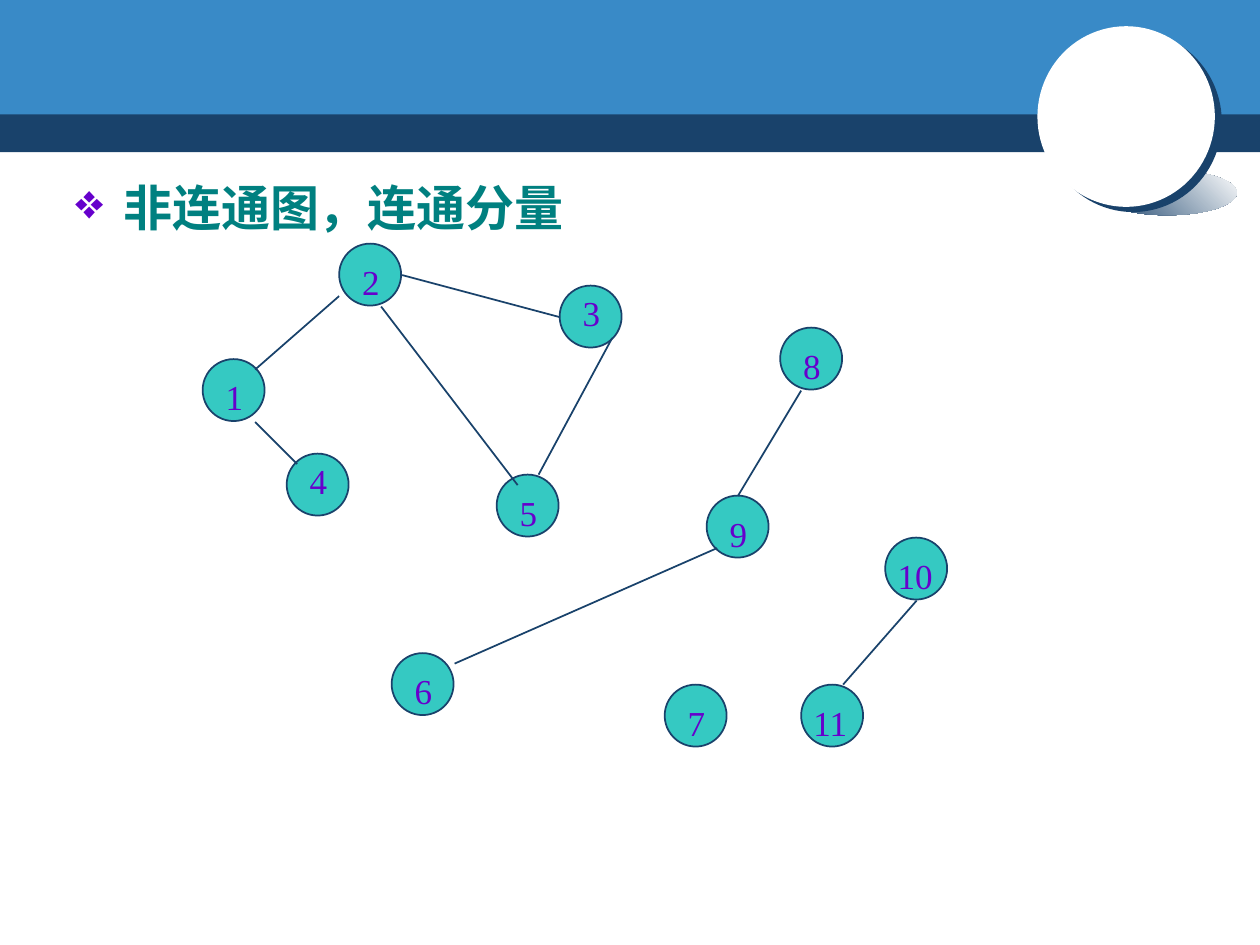
from dataclasses import dataclass

from lxml.etree import SubElement
from pptx import Presentation
from pptx.dml.color import RGBColor
from pptx.enum.shapes import MSO_CONNECTOR, MSO_SHAPE
from pptx.oxml.ns import qn
from pptx.util import Inches, Pt


@dataclass(frozen=True)
class Theme:
    navy: str = "19426B"
    blue: str = "398AC7"
    white: str = "FFFFFF"
    turquoise: str = "35C9C2"
    purple: str = "6600CC"
    teal: str = "008080"
    heading_font: str = "DejaVu Sans"
    label_font: str = "Times New Roman"
    heading_size: int = 28
    label_size: int = 20
    line_width: int = 1


theme = Theme()
presentation = Presentation()
presentation.slide_width = Inches(10)
presentation.slide_height = Inches(7.5)
slide = presentation.slides.add_slide(presentation.slide_layouts[6])
shapes = slide.shapes

UNIT = presentation.slide_width / 120
GRAPH_COLUMN, GRAPH_ROW = 19.3, 23.2
NODE_SIZE = 5.9


def add_filled(kind, column, row, columns, rows, color):
    shape = shapes.add_shape(kind, *(round(n * UNIT) for n in (column, row, columns, rows)))
    shape.shadow.inherit = False
    shape.fill.solid()
    shape.fill.fore_color.rgb = RGBColor.from_string(color)
    shape.line.fill.background()
    return shape


def add_text(text, column, row, columns, rows, font, size, color):
    box = shapes.add_textbox(*(round(n * UNIT) for n in (column, row, columns, rows)))
    box.text_frame.word_wrap = True
    paragraph = box.text_frame.paragraphs[0]
    paragraph.text = text
    paragraph.font.name = font
    paragraph.font.size = Pt(size)
    paragraph.font.color.rgb = RGBColor.from_string(color)
    return paragraph


add_filled(MSO_SHAPE.RECTANGLE, 0, 10.4, 120, 4.1, theme.navy)
add_filled(MSO_SHAPE.RECTANGLE, 0, 0, 120, 10.9, theme.blue)

ground_shade = add_filled(MSO_SHAPE.OVAL, 104.5, 16.2, 13.3, 4.3, theme.navy)
ground_shade.fill.gradient()
ground_shade.fill.gradient_angle = 45
for stop, color, position in zip(ground_shade.fill.gradient_stops, (theme.navy, theme.white), (0, 1)):
    stop.color.rgb = RGBColor.from_string(color)
    stop.position = position

disc = add_filled(MSO_SHAPE.OVAL, 98.8, 2.5, 16.9, 17.2, theme.white)
disc_effects = disc._element.spPr.find(qn("a:effectLst"))
disc_shadow = SubElement(disc_effects, qn("a:outerShdw"), blurRad="0", dist=str(Pt(5)),
                         dir=str(37 * 60000), algn="ctr", rotWithShape="0")
SubElement(disc_shadow, qn("a:srgbClr"), val=theme.navy)

heading = add_text("非连通图，连通分量", 6, 16.3, 108, 68.9,
                   theme.heading_font, theme.heading_size, theme.teal)
heading.font.bold = True
heading_format = heading._p.get_or_add_pPr()
heading_format.set("marL", str(Inches(0.38)))
heading_format.set("indent", str(Inches(-0.38)))
bullet_color = heading_format.makeelement(qn("a:buClr"))
SubElement(bullet_color, qn("a:srgbClr"), val=theme.purple)
bullet = heading_format.makeelement(qn("a:buChar"), char="❖")
heading_format.insert(0, bullet_color)
heading_format.insert(1, bullet)

nodes = {
    "1": (0, 11), "2": (13, 0), "3": (34, 4), "8": (55, 8),
    "10": (65, 28), "4": (8, 20), "5": (28, 22), "9": (48, 24),
    "11": (57, 42), "6": (18, 39), "7": (44, 42),
}
edges = [
    (13, 5, 5, 12), (17, 6, 30, 23), (5, 17, 9, 21), (39, 9, 32, 22),
    (57, 14, 51, 24), (61, 42, 68, 34), (19, 3, 34, 7), (24, 40, 49, 29),
]
raised_labels = {"3", "4"}

for column, row in nodes.values():
    node = add_filled(MSO_SHAPE.OVAL, GRAPH_COLUMN + column, GRAPH_ROW + row,
                      NODE_SIZE, NODE_SIZE, theme.turquoise)
    node.line.color.rgb = RGBColor.from_string(theme.navy)
    node.line.width = Pt(theme.line_width)

for start_column, start_row, end_column, end_row in edges:
    edge = shapes.add_connector(
        MSO_CONNECTOR.STRAIGHT,
        round((GRAPH_COLUMN + start_column) * UNIT), round((GRAPH_ROW + start_row) * UNIT),
        round((GRAPH_COLUMN + end_column) * UNIT), round((GRAPH_ROW + end_row) * UNIT))
    edge.line.color.rgb = RGBColor.from_string(theme.navy)
    edge.line.width = Pt(theme.line_width)
    SubElement(edge._element.spPr, qn("a:effectLst"))

for number, (column, row) in nodes.items():
    shift_right = 1 if len(number) == 1 else 0
    shift_down = 0 if number in raised_labels else 1
    add_text(number, GRAPH_COLUMN + column + shift_right, GRAPH_ROW + row + shift_down,
             3 * len(number), 5.2, theme.label_font, theme.label_size, theme.purple)

presentation.save("out.pptx")
